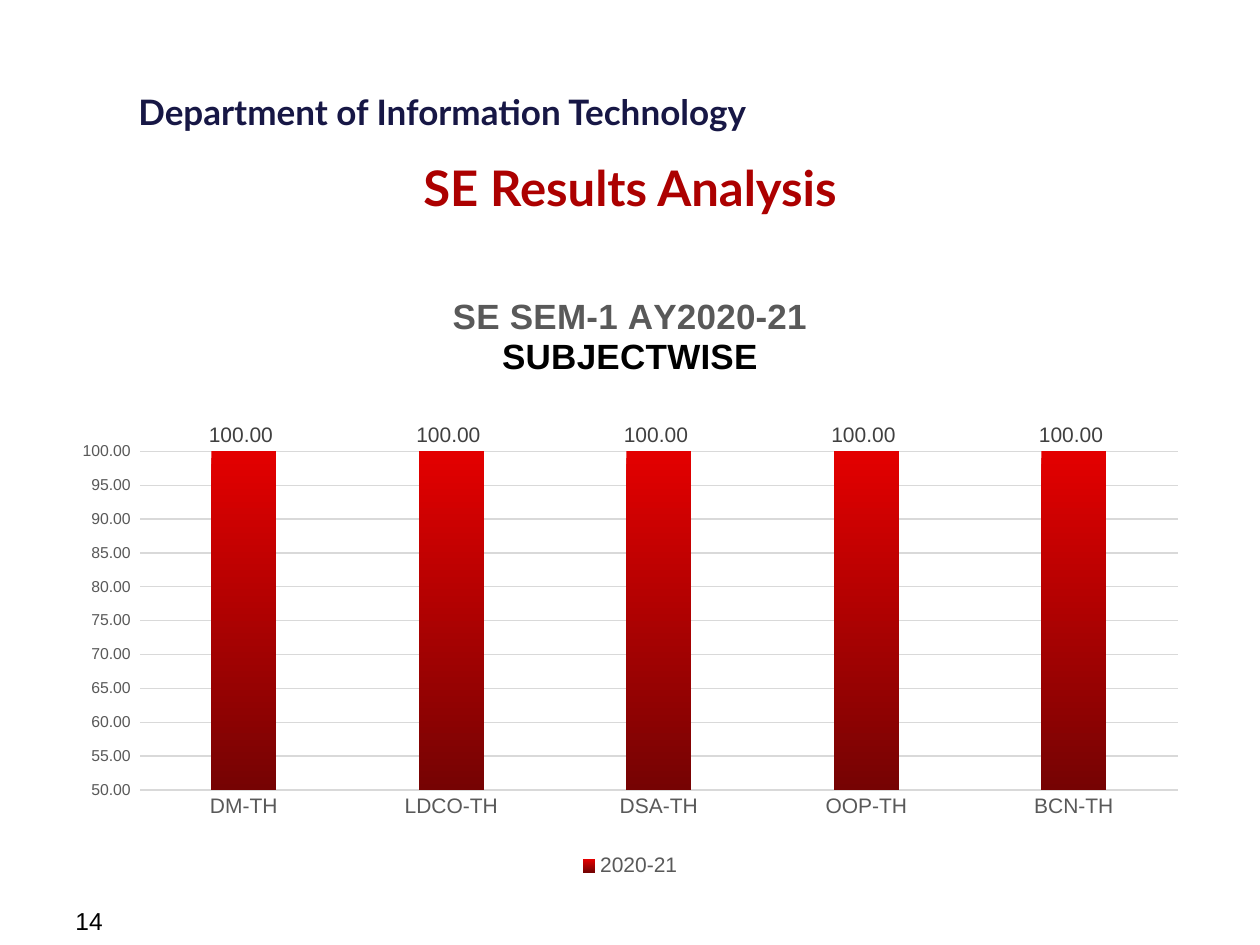
from dataclasses import dataclass

from lxml import etree
from pptx import Presentation
from pptx.chart.data import CategoryChartData
from pptx.dml.color import RGBColor
from pptx.enum.chart import (XL_CHART_TYPE, XL_LABEL_POSITION,
                             XL_LEGEND_POSITION, XL_TICK_MARK)
from pptx.enum.text import MSO_ANCHOR, PP_ALIGN
from pptx.oxml import parse_xml
from pptx.oxml.ns import nsdecls
from pptx.util import Pt

COLUMNS = XL_CHART_TYPE.COLUMN_CLUSTERED
OUTSIDE_END = XL_LABEL_POSITION.OUTSIDE_END
BOTTOM = XL_LEGEND_POSITION.BOTTOM
NO_TICK = XL_TICK_MARK.NONE
TOP = MSO_ANCHOR.TOP
LEFT, CENTER = PP_ALIGN.LEFT, PP_ALIGN.CENTER


@dataclass(frozen=True)
class Theme:
    heading_font: str = "Lato"
    body_font: str = "Arial"
    navy: str = "171745"
    red: str = "AC0000"
    black: str = "000000"
    gray: str = "595959"
    label_gray: str = "404040"
    grid: str = "D9D9D9"
    bar_top: str = "E30000"
    bar_bottom: str = "760303"
    title_size: float = 28
    heading_size: float = 20
    number_size: float = 14
    label_size: float = 12
    chart_size: float = 10
    scale_size: float = 9
    line_width: float = 0.75


THEME = Theme()
SUBJECTS = ("DM-TH", "LDCO-TH", "DSA-TH", "OOP-TH", "BCN-TH")
PASS_RATES = (100, 100, 100, 100, 100)
NUMBER_FORMAT = "0.00_ "
PLOT_LAYOUT = {"x": 0.068, "y": 0.293, "w": 0.915, "h": 0.556}


def style_font(font, size, color, name=THEME.body_font, bold=False):
    values = {"name": name, "size": Pt(size), "bold": bold}
    for attribute, value in values.items():
        setattr(font, attribute, value)
    font.color.rgb = RGBColor.from_string(color)


def style_line(line):
    line.color.rgb = RGBColor.from_string(THEME.grid)
    line.width = Pt(THEME.line_width)


def add_text(slide, box, text, alignment=LEFT, wrap=True, **font_values):
    text_box = slide.shapes.add_textbox(*map(Pt, box))
    frame = text_box.text_frame
    frame.word_wrap = wrap
    frame.vertical_anchor = TOP
    paragraph = frame.paragraphs[0]
    paragraph.alignment = alignment
    run = paragraph.add_run()
    run.text = text
    style_font(run.font, **font_values)


def add_headings(slide, box):
    """Place the department line and the slide title below it."""
    left, top, width, height = box
    add_text(slide, (left + 36, top, 385, 32), "Department of Information Technology",
             wrap=False, size=THEME.heading_size, color=THEME.navy,
             name=THEME.heading_font, bold=True)
    add_text(slide, (left, top + 38.2, width, height - 38.2), "SE Results Analysis",
             alignment=CENTER, size=THEME.title_size, color=THEME.red,
             name=THEME.heading_font, bold=True)


def set_chart_title(chart):
    chart.has_title = True
    chart.chart_title.include_in_layout = False
    frame = chart.chart_title.text_frame
    lines = (("SE SEM-1 AY2020-21", THEME.gray), ("SUBJECTWISE", THEME.black))
    for index, (text, color) in enumerate(lines):
        paragraph = frame.add_paragraph() if index else frame.paragraphs[0]
        run = paragraph.add_run()
        run.text = text
        style_font(run.font, THEME.heading_size, color, bold=True)


def set_plot_layout(chart):
    """Fix the inner plot area as fractions of the chart."""
    plot_area = chart.plots[0]._element.getparent()
    for old_layout in plot_area.findall("{*}layout"):
        plot_area.remove(old_layout)
    layout = parse_xml(f'<c:layout {nsdecls("c")}><c:manualLayout/></c:layout>')
    settings = {"layoutTarget": "inner", "xMode": "edge", "yMode": "edge", **PLOT_LAYOUT}
    namespace = etree.QName(layout).namespace
    for name, value in settings.items():
        etree.SubElement(layout[0], f"{{{namespace}}}{name}", val=str(value))
    plot_area.insert(0, layout)


def style_axes(chart):
    category_axis, value_axis = chart.category_axis, chart.value_axis
    for axis, size in ((category_axis, THEME.label_size), (value_axis, THEME.scale_size)):
        axis.major_tick_mark = axis.minor_tick_mark = NO_TICK
        style_font(axis.tick_labels.font, size, THEME.gray)
    style_line(category_axis.format.line)
    value_axis.format.line.fill.background()
    scale = {"minimum_scale": 50, "maximum_scale": 100, "major_unit": 5,
             "has_major_gridlines": True}
    for attribute, value in scale.items():
        setattr(value_axis, attribute, value)
    style_line(value_axis.major_gridlines.format.line)
    value_axis.tick_labels.number_format = NUMBER_FORMAT
    value_axis.tick_labels.number_format_is_linked = False


def style_columns(plot):
    for attribute, value in {"gap_width": 219, "overlap": -27,
                             "vary_by_categories": False}.items():
        setattr(plot, attribute, value)
    series = plot.series[0]
    fill = series.format.fill
    fill.gradient()
    fill.gradient_angle = 270
    for stop, color, position in zip(fill.gradient_stops,
                                     (THEME.bar_top, THEME.bar_bottom), (0, 1)):
        stop.color.rgb = RGBColor.from_string(color)
        stop.position = position
    labels = series.data_labels
    for attribute, value in {"show_value": True, "position": OUTSIDE_END,
                             "number_format": NUMBER_FORMAT,
                             "number_format_is_linked": False}.items():
        setattr(labels, attribute, value)
    style_font(labels.font, THEME.label_size, THEME.label_gray)


def add_results_chart(slide, box):
    data = CategoryChartData(number_format=NUMBER_FORMAT)
    data.categories = SUBJECTS
    data.add_series("2020-21", PASS_RATES)
    chart = slide.shapes.add_chart(COLUMNS, *map(Pt, box), data).chart
    style_font(chart.font, THEME.chart_size, THEME.black)
    set_chart_title(chart)
    set_plot_layout(chart)
    style_axes(chart)
    style_columns(chart.plots[0])
    chart.has_legend = True
    chart.legend.position = BOTTOM
    chart.legend.include_in_layout = False
    style_font(chart.legend.font, THEME.label_size, THEME.gray)


def add_slide_number(slide, box):
    add_text(slide, box, "14", size=THEME.number_size, color=THEME.black)


def main():
    presentation = Presentation()
    presentation.slide_width, presentation.slide_height = Pt(720), Pt(540)
    slide = presentation.slides.add_slide(presentation.slide_layouts[6])
    add_headings(slide, (36, 48.2, 648, 72.8))
    add_slide_number(slide, (36, 514, 168, 19.5))
    add_results_chart(slide, (36, 156, 648, 348))
    presentation.save("out.pptx")


if __name__ == "__main__":
    main()
